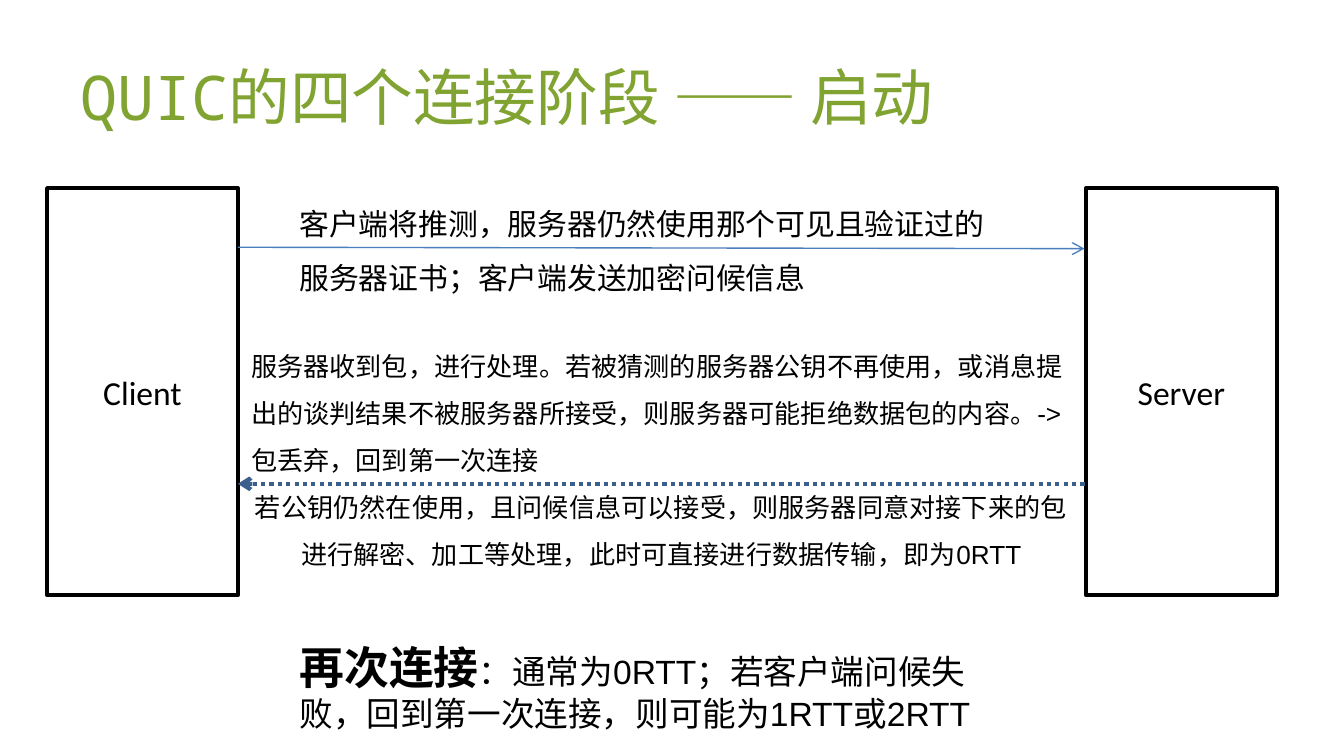
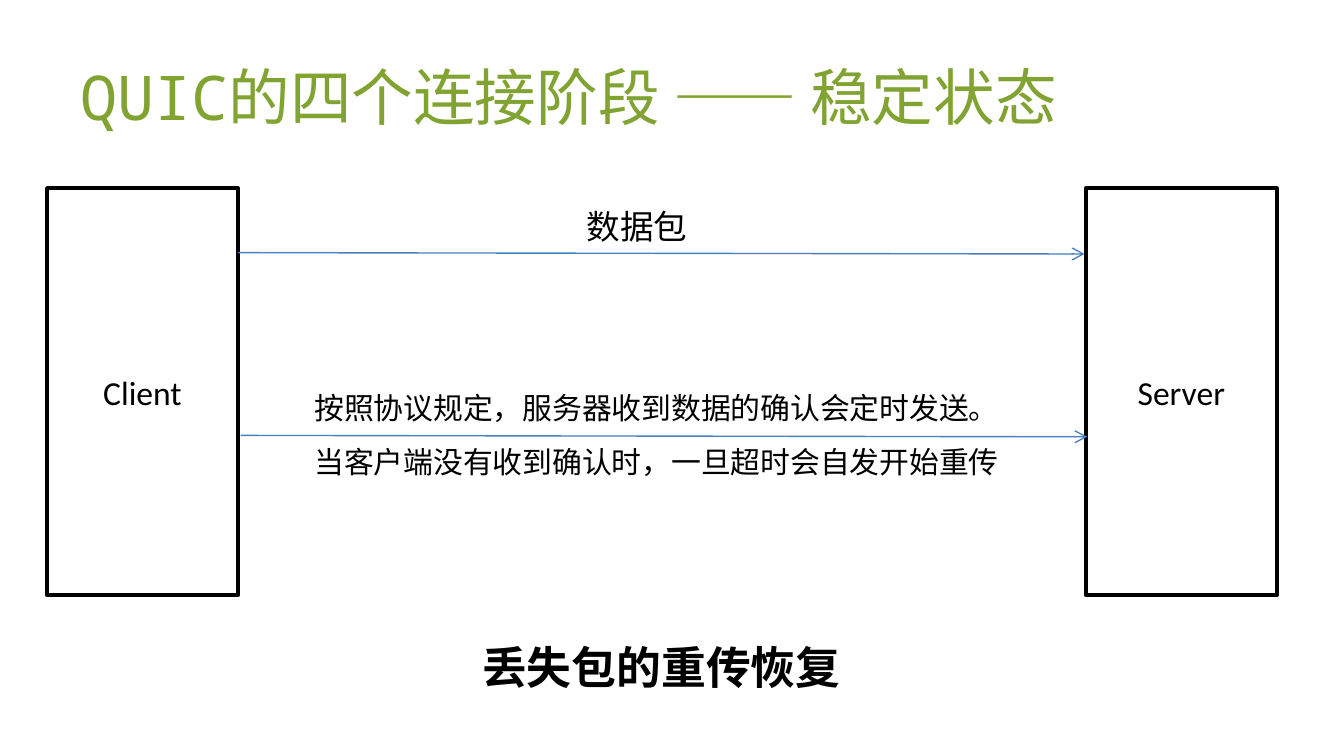
"""Build two slides on the QUIC connection phases."""
from lxml import etree
from pptx import Presentation
from pptx.dml.color import RGBColor
from pptx.enum.dml import MSO_LINE
from pptx.enum.shapes import MSO_CONNECTOR, MSO_SHAPE
from pptx.enum.text import MSO_ANCHOR, MSO_AUTO_SIZE, PP_ALIGN
from pptx.oxml.ns import qn
from pptx.util import Inches, Pt

LEFT, MID = PP_ALIGN.LEFT, PP_ALIGN.CENTER
CENTRE = MSO_ANCHOR.MIDDLE
GROW, FIXED = MSO_AUTO_SIZE.SHAPE_TO_FIT_TEXT, MSO_AUTO_SIZE.NONE
RECT, LINE = MSO_SHAPE.RECTANGLE, MSO_CONNECTOR.STRAIGHT
DOTS = MSO_LINE.ROUND_DOT

HUES = {"title": "80A331", "ink": "000000", "paper": "FFFFFF",
        "send": "4B7EBC", "reply": "3A5F8C"}
FONTS = {
    "title": {"name": "Noto Sans Mono", "size": Pt(33), "bold": False},
    "node": {"name": "Calibri", "size": Pt(18), "bold": False},
    "strong": {"name": "Noto Sans Mono", "size": Pt(24), "bold": True},
    "large": {"name": "Arial", "size": Pt(18), "bold": False},
    "note": {"name": "Arial", "size": Pt(16), "bold": False},
    "small": {"name": "Arial", "size": Pt(14), "bold": False},
}
NODES = [("Client", 0.35), ("Server", 8.08)]
PAGES = [
    {
        "title": "QUIC的四个连接阶段 —— 启动",
        "lines": [((1.77, 1.84, 8.07, 1.85), "send", 0.75, None),
                  ((8.07, 3.6, 1.77, 3.6), "reply", 2.25, DOTS)],
        "notes": [
            ((2.13, 1.35, 5.49, 0.9), [
                (LEFT, 1.5, [("客户端将推测，服务器仍然使用那个可见且验证过的"
                              "服务器证书；客户端发送加密问候信息", "note")])]),
            ((2.13, 4.71, 5.58, 0.83), [
                (LEFT, 1, [("再次连接", "strong"),
                           ("：通常为0RTT；若客户端问候失败，回到第一次连接，"
                            "则可能为1RTT或2RTT", "large")])]),
            ((1.77, 2.44, 6.3, 2.2), [
                (LEFT, 1.5, [("服务器收到包，进行处理。若被猜测的服务器公钥不再使用，"
                              "或消息提出的谈判结果不被服务器所接受，则服务器可能拒绝"
                              "数据包的内容。->包丢弃，回到第一次连接", "small")]),
                (MID, 1.5, [("若公钥仍然在使用，且问候信息可以接受，则服务器同意对"
                             "接下来的包进行解密、加工等处理，此时可直接进行数据传输，"
                             "即为0RTT", "small")])]),
        ],
    },
    {
        "title": "QUIC的四个连接阶段 —— 稳定状态",
        "lines": [((1.77, 1.88, 8.07, 1.89), "send", 0.75, None),
                  ((1.79, 3.24, 8.09, 3.25), "send", 0.75, None)],
        "notes": [
            ((2.13, 4.71, 5.58, 0.53), [
                (MID, 1, [("丢失包的重传恢复", "strong")])]),
            ((2.24, 2.72, 5.39, 0.9), [
                (LEFT, 1.5, [("按照协议规定，服务器收到数据的确认会定时发送。"
                              "当客户端没有收到确认时，一旦超时会自发开始重传", "note")])]),
            ((2.76, 1.48, 3.96, 0.4), [(MID, 1, [("数据包", "large")])]),
        ],
    },
]


def paint(hue):
    return RGBColor.from_string(HUES[hue])


def write(frame, paras, fit, hue="ink"):
    frame.word_wrap = True
    frame.auto_size = fit
    for i, (align, gap, runs) in enumerate(paras):
        para = frame.add_paragraph() if i else frame.paragraphs[0]
        para.alignment, para.line_spacing = align, gap
        for text, style in runs:
            run = para.add_run()
            run.text = text
            for key, value in FONTS[style].items():
                setattr(run.font, key, value)
            run.font.color.rgb = paint(hue)


deck = Presentation()
deck.slide_width = Inches(10)
deck.slide_height = deck.slide_width * 9 // 16

for page in PAGES:
    slide = deck.slides.add_slide(deck.slide_layouts[5])
    shapes = slide.shapes
    title = shapes.title
    place = {"left": 0.5, "top": 0.21, "width": 8.48, "height": 1}
    for key, value in place.items():
        setattr(title, key, Inches(value))
    title.text_frame.vertical_anchor = CENTRE
    write(title.text_frame, [(LEFT, 1, [(page["title"], "title")])], FIXED, "title")

    for name, left in NODES:
        node = shapes.add_shape(RECT, *map(Inches, (left, 1.4, 1.42, 3.03)))
        node.shadow.inherit = False
        node.fill.solid()
        node.fill.fore_color.rgb = paint("paper")
        node.line.color.rgb = paint("ink")
        node.line.width = Pt(2)
        node.text_frame.vertical_anchor = CENTRE
        write(node.text_frame, [(MID, 1, [(name, "node")])], FIXED)

    for ends, hue, width, dash in page["lines"]:
        arrow = shapes.add_connector(LINE, *map(Inches, ends))
        arrow.line.color.rgb = paint(hue)
        arrow.line.width = Pt(width)
        if dash:
            arrow.line.dash_style = dash
        props = arrow.element.spPr
        etree.SubElement(props.find(qn("a:ln")), qn("a:tailEnd"), type="arrow")
        etree.SubElement(props, qn("a:effectLst"))

    for area, paras in page["notes"]:
        note = shapes.add_textbox(*map(Inches, area))
        write(note.text_frame, paras, GROW)
        for props in note.element.iter(qn("a:pPr")):
            props.set("hangingPunct", "0")

deck.save("out.pptx")
